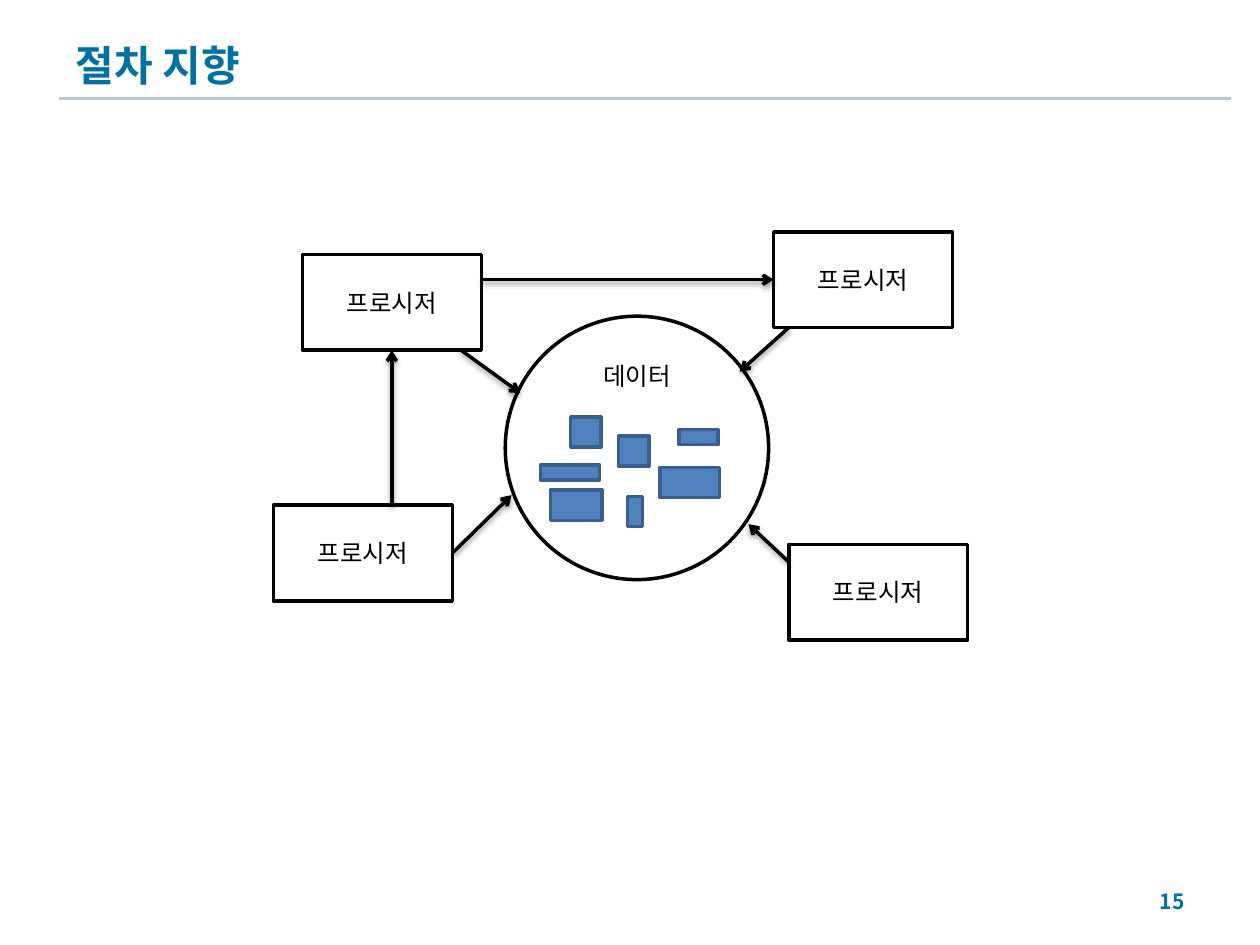
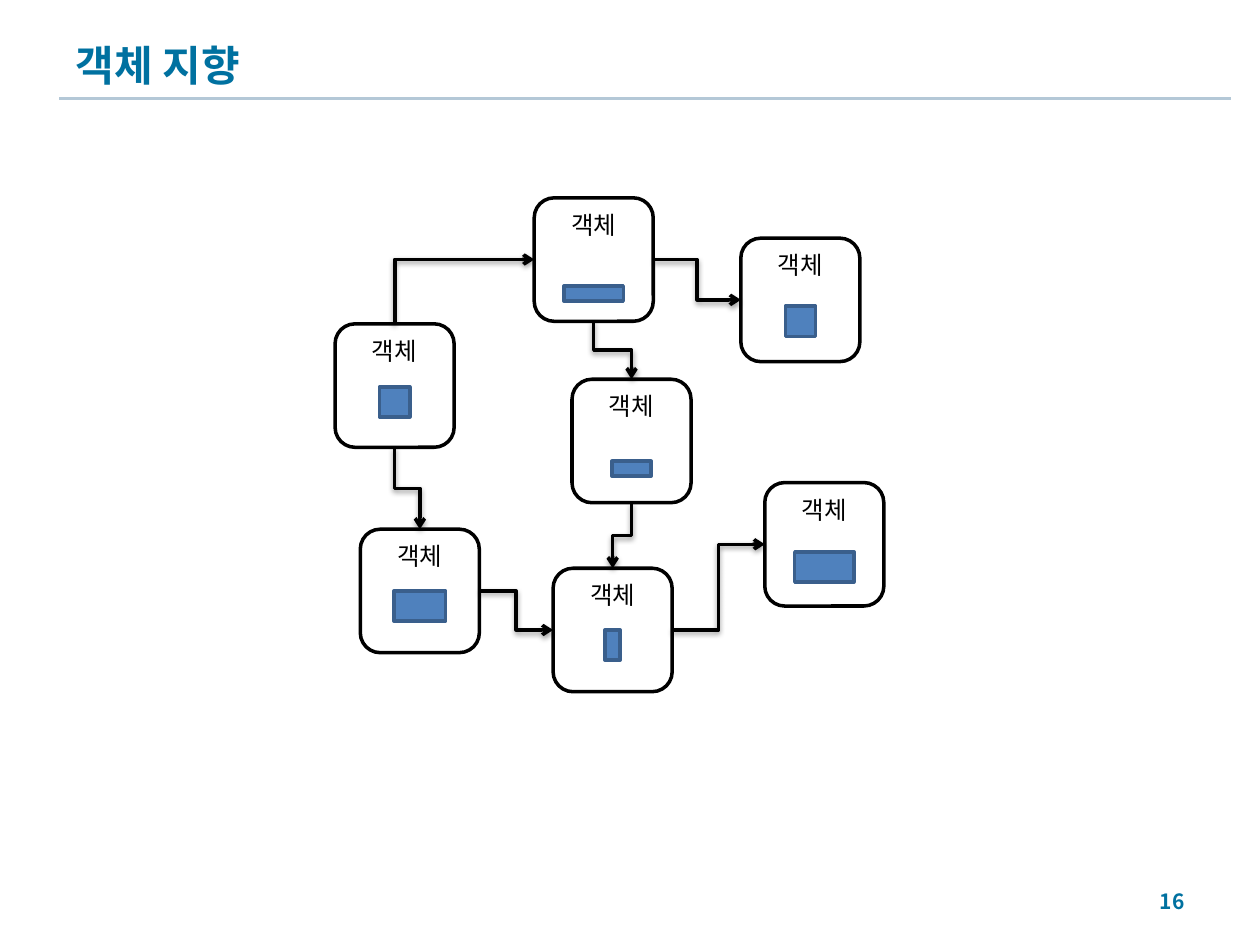
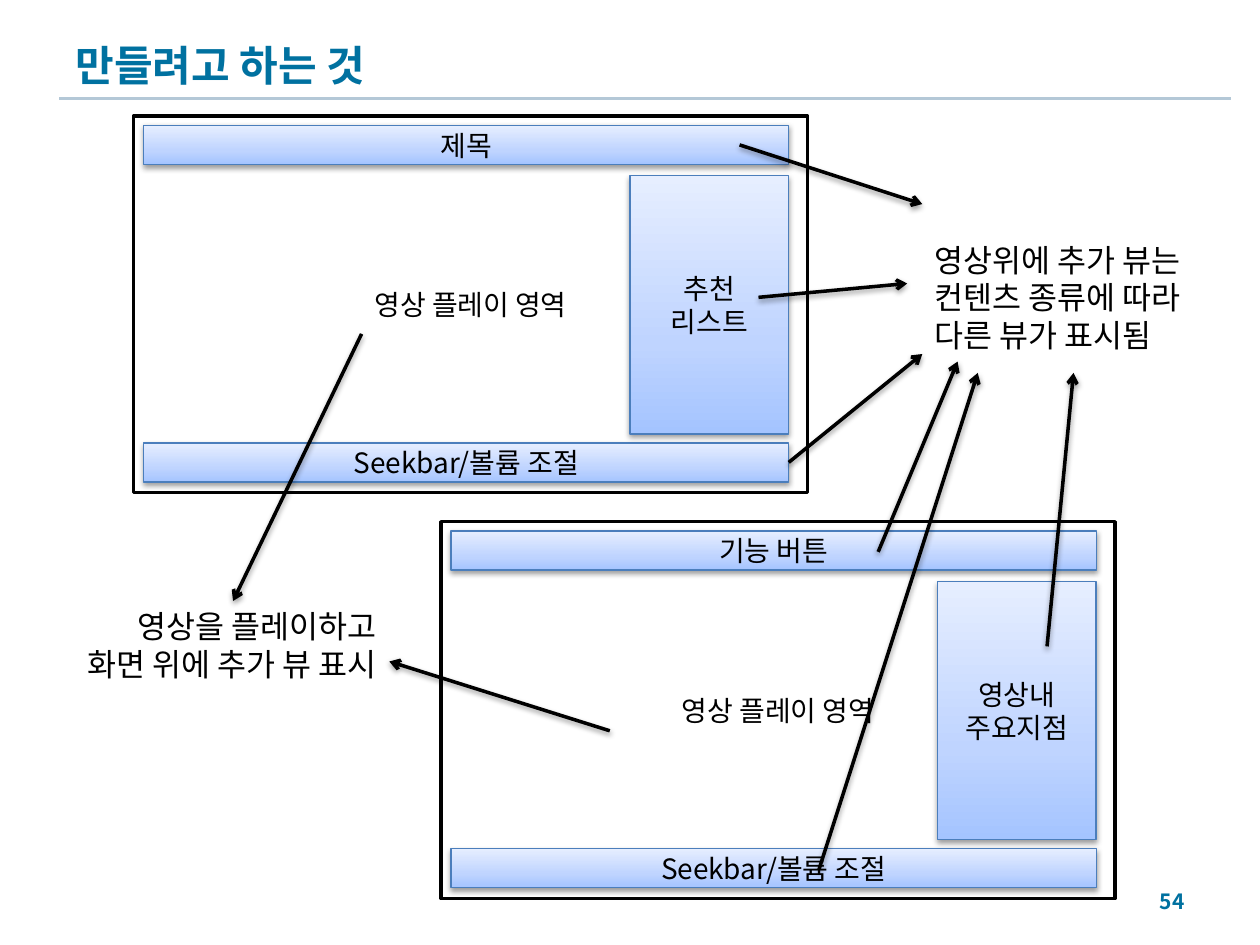
import copy

import lxml.etree
import pptx
import pptx.dml.color
import pptx.enum.dml
import pptx.enum.shapes
import pptx.enum.text
import pptx.oxml.ns
import pptx.util

qn = pptx.oxml.ns.qn
color = pptx.dml.color.RGBColor.from_string
shapes = pptx.enum.shapes.MSO_SHAPE
connectors = pptx.enum.shapes.MSO_CONNECTOR
align = pptx.enum.text.PP_ALIGN
anchor = pptx.enum.text.MSO_ANCHOR

FONT = "Noto Sans CJK KR"
BLUE, BLACK, WHITE, RULE = "0071A0", "000000", "FFFFFF", "B4C8D7"
GRADIENT = [(0, "A4C4FF"), (0.35, "BFD4FF"), (1, "E6EEFF")]
TOP, LEFT, BOTTOM, RIGHT = range(4)

deck = pptx.Presentation()
deck.slide_width = pptx.util.Inches(10)
deck.slide_height = pptx.util.Inches(7.5)
column = deck.slide_width / 100
row = deck.slide_height / 75


def write(box, text, size, alignment, vertical, ink=BLACK, bold=False, font=FONT):
    frame = box.text_frame
    frame.text = text
    frame.vertical_anchor = vertical
    for para in frame.paragraphs:
        para.alignment = alignment
        for span in para.runs:
            for name, value in {"size": pptx.util.Pt(size), "bold": bold, "name": font}.items():
                setattr(span.font, name, value)
            span.font.color.rgb = color(ink)
            east_asian = lxml.etree.SubElement(span._r.rPr, qn("a:ea"))
            east_asian.set("typeface", FONT)


def set_shadow(item, visible):
    properties = item._element.spPr
    effects = properties.find(qn("a:effectLst"))
    if effects is None:
        effects = lxml.etree.SubElement(properties, qn("a:effectLst"))
    if visible:
        shadow = lxml.etree.SubElement(effects, qn("a:outerShdw"))
        for name, value in {"blurRad": 40000, "dist": 20000, "dir": 5400000, "rotWithShape": 0}.items():
            shadow.set(name, str(value))
        tint = lxml.etree.SubElement(shadow, qn("a:srgbClr"), val=BLACK)
        lxml.etree.SubElement(tint, qn("a:alpha"), val="38000")


styles = {
    "data": {"shape": shapes.RECTANGLE, "fill": "4F81BD", "line": "3A5F8C", "width": 2},
    "procedure": {"shape": shapes.RECTANGLE, "fill": WHITE, "line": BLACK, "width": 2,
                  "size": 14, "anchor": anchor.MIDDLE},
    "store": {"shape": shapes.OVAL, "fill": None, "line": BLACK, "width": 2,
              "size": 14, "anchor": anchor.TOP},
    "object": {"shape": shapes.ROUNDED_RECTANGLE, "fill": WHITE, "line": BLACK, "width": 2,
               "size": 14, "anchor": anchor.TOP},
    "screen": {"shape": shapes.RECTANGLE, "fill": WHITE, "line": BLACK, "width": 2,
               "size": 16, "anchor": anchor.MIDDLE},
    "panel": {"shape": shapes.RECTANGLE, "fill": "gradient", "line": "4B7EBC", "width": 0.75,
              "size": 16, "anchor": anchor.MIDDLE},
}

data_pieces = [
    (45.3, 33.1, 2.4, 2.4), (49.1, 34.6, 2.4, 2.4), (42.9, 36.9, 4.7, 1.2), (52.4, 37.1, 4.7, 2.4),
    (43.7, 38.9, 4.1, 2.4), (49.8, 39.4, 1.2, 2.4), (53.9, 34.1, 3.1, 1.2),
]
procedures = [
    ("upper left", 24, 20.2), ("lower left", 21.7, 40.1),
    ("upper right", 61.4, 18.4), ("lower right", 62.6, 43.2),
]
procedural_boxes = [("piece", "data", *place, "") for place in data_pieces]
procedural_boxes += [(name, "procedure", x, y, 14.2, 7.6, "프로시저") for name, x, y in procedures]
procedural_boxes.append(("store", "store", 40.1, 25.1, 20.9, 20.9, "데이터"))

OBJECT_WIDTH, OBJECT_HEIGHT = 9.45, 9.8
objects = [
    ("start", 26.6, 25.7, 5, 2.4, 2.4),
    ("far top", 58.8, 18.9, 5.4, 2.4, 2.4),
    ("top", 42.4, 15.7, 7, 4.7, 1.2),
    ("low", 28.6, 42, 4.9, 4.1, 2.4),
    ("bottom", 43.9, 45.1, 4.9, 1.2, 2.4),
    ("middle", 45.4, 30.1, 6.5, 3.1, 1.2),
    ("far low", 60.7, 38.3, 5.5, 4.7, 2.4),
]
object_boxes = []
for name, x, y, drop, width, height in objects:
    object_boxes += [
        (name, "object", x, y, OBJECT_WIDTH, OBJECT_HEIGHT, "객체"),
        ("piece", "data", x + (OBJECT_WIDTH - width) / 2, y + drop, width, height, ""),
    ]

screens = [
    ("first", 10.6, 9.2, "제목", "추천\n리스트"),
    ("second", 35, 41.4, "기능 버튼", "영상내\n주요지점"),
]
screen_boxes = []
for name, x, y, header, side_list in screens:
    screen_boxes += [
        (name, "screen", x, y, 53.5, 29.9, "영상 플레이 영역"),
        (name + " header", "panel", x + 0.8, y + 0.75, 51.2, 3.1, header),
        (name + " seekbar", "panel", x + 0.8, y + 25.95, 51.2, 3.1, "Seekbar/볼륨 조절"),
        (name + " list", "panel", x + 39.4, y + 4.75, 12.6, 20.5, side_list),
    ]

pages = [
    {"title": "절차 지향", "number": 15, "boxes": procedural_boxes, "notes": [], "elbows": [],
     "arrows": [
         ((36.6, 27.8), (41.3, 31.2)),
         (("lower left", RIGHT), (40.6, 39.3)),
         ((62.6, 26), (58.7, 29.5)),
         ((62.6, 44.6), (59.4, 41.6)),
         ((31.1, 40.1), ("upper left", BOTTOM)),
         ((38.2, 22.2), ("upper right", LEFT)),
     ]},
    {"title": "객체 지향", "number": 16, "boxes": object_boxes, "notes": [], "arrows": [],
     "elbows": [
         (("start", TOP), ("top", LEFT)),
         (("top", BOTTOM), ("middle", TOP)),
         (("top", RIGHT), ("far top", LEFT)),
         (("start", BOTTOM), ("low", TOP)),
         (("low", RIGHT), ("bottom", LEFT)),
         (("middle", BOTTOM), ("bottom", TOP)),
         (("bottom", RIGHT), ("far low", LEFT)),
     ]},
    {"title": "만들려고 하는 것", "number": 54, "boxes": screen_boxes, "elbows": [],
     "notes": [
         (2.6, 47.7, 28.3, 7.1, align.RIGHT, "영상을 플레이하고\n화면 위에 추가 뷰 표시"),
         (73.2, 18.6, 24, 10.1, align.LEFT, "영상위에 추가 뷰는\n컨텐츠 종류에 따라\n다른 뷰가 표시됨"),
     ],
     "arrows": [
         ((28.7, 26.5), (18.5, 47.7)),
         ((48.4, 58), (30.9, 52.5)),
         ((58.7, 11.5), (73.2, 16.2)),
         ((60.2, 23.6), (72, 22.5)),
         (("first seekbar", RIGHT), (73.2, 28.1)),
         ((69.7, 43.8), (76, 28.7)),
         ((83.1, 51.3), (85.2, 29.6)),
         ((65, 69), (77.6, 29.6)),
     ]},
]

for content in pages:
    page = deck.slides.add_slide(deck.slide_layouts[5])
    rule = page.shapes.add_connector(
        connectors.STRAIGHT, int(4.7 * column), int(7.8 * row), int(97.7 * column), int(7.8 * row))
    rule.line.color.rgb = color(RULE)
    rule.line.width = pptx.util.Pt(1.5)
    set_shadow(rule, False)

    title = page.shapes.title
    frame = {"left": 5 * column, "top": 2.3 * row, "width": 90 * column, "height": 5.6 * row}
    for name, value in frame.items():
        setattr(title, name, int(value))
    write(title, content["title"], 24, align.LEFT, anchor.MIDDLE, BLUE, True, "Arial")

    number = page.shapes.add_textbox(
        int(71.7 * column), int(69.5 * row), int(23.3 * column), int(4 * row))
    number.text_frame.word_wrap = True
    write(number, str(content["number"]), 12, align.RIGHT, anchor.MIDDLE, BLUE, True)

    boxes = {}
    for name, kind, x, y, width, height, text in content["boxes"]:
        style = styles[kind]
        box = page.shapes.add_shape(
            style["shape"], int(x * column), int(y * row), int(width * column), int(height * row))
        box.shadow.inherit = False
        box.line.color.rgb = color(style["line"])
        box.line.width = pptx.util.Pt(style["width"])
        if style["fill"] is None:
            box.fill.background()
        elif style["fill"] == "gradient":
            box.fill.gradient()
            box.fill.gradient_angle = 90
            stops = box._element.spPr.find(".//" + qn("a:gsLst"))
            stops.append(copy.deepcopy(stops[0]))
            for stop, (position, tint) in zip(box.fill.gradient_stops, GRADIENT):
                stop.position = position
                stop.color.rgb = color(tint)
            set_shadow(box, True)
        else:
            box.fill.solid()
            box.fill.fore_color.rgb = color(style["fill"])
        if text:
            write(box, text, style["size"], align.CENTER, style["anchor"])
        boxes[name] = box

    for x, y, width, height, alignment, text in content["notes"]:
        note = page.shapes.add_textbox(
            int(x * column), int(y * row), int(width * column), int(height * row))
        note.text_frame.word_wrap = False
        note.text_frame.auto_size = pptx.enum.text.MSO_AUTO_SIZE.SHAPE_TO_FIT_TEXT
        write(note, text, 18, alignment, anchor.TOP)

    links = [(connectors.STRAIGHT, *ends) for ends in content["arrows"]]
    links += [(connectors.ELBOW, *ends) for ends in content["elbows"]]
    for kind, begin, end in links:
        points = [(0, 0) if isinstance(spot[0], str) else spot for spot in (begin, end)]
        (x1, y1), (x2, y2) = points
        arrow = page.shapes.add_connector(
            kind, int(x1 * column), int(y1 * row), int(x2 * column), int(y2 * row))
        for spot, connect in ((begin, arrow.begin_connect), (end, arrow.end_connect)):
            if isinstance(spot[0], str):
                connect(boxes[spot[0]], spot[1])

        if kind == connectors.ELBOW and begin[1] in (TOP, BOTTOM):
            across = arrow.end_x - arrow.begin_x
            down = arrow.end_y - arrow.begin_y
            middle_x = (arrow.begin_x + arrow.end_x) // 2
            middle_y = (arrow.begin_y + arrow.end_y) // 2
            arrow.width, arrow.height = abs(down), abs(across)
            arrow.left = middle_x - arrow.width // 2
            arrow.top = middle_y - arrow.height // 2
            turn = arrow._element.spPr.xfrm
            for name, value in {"rot": 90, "flipH": down < 0, "flipV": across > 0}.items():
                setattr(turn, name, value)
            if end[1] in (LEFT, RIGHT):
                arrow._element.spPr.find(qn("a:prstGeom")).set("prst", "bentConnector2")

        arrow.line.color.rgb = color(BLACK)
        arrow.line.width = pptx.util.Pt(2)
        lxml.etree.SubElement(arrow._element.spPr.find(qn("a:ln")), qn("a:tailEnd"), type="arrow")
        set_shadow(arrow, True)

deck.save("out.pptx")
